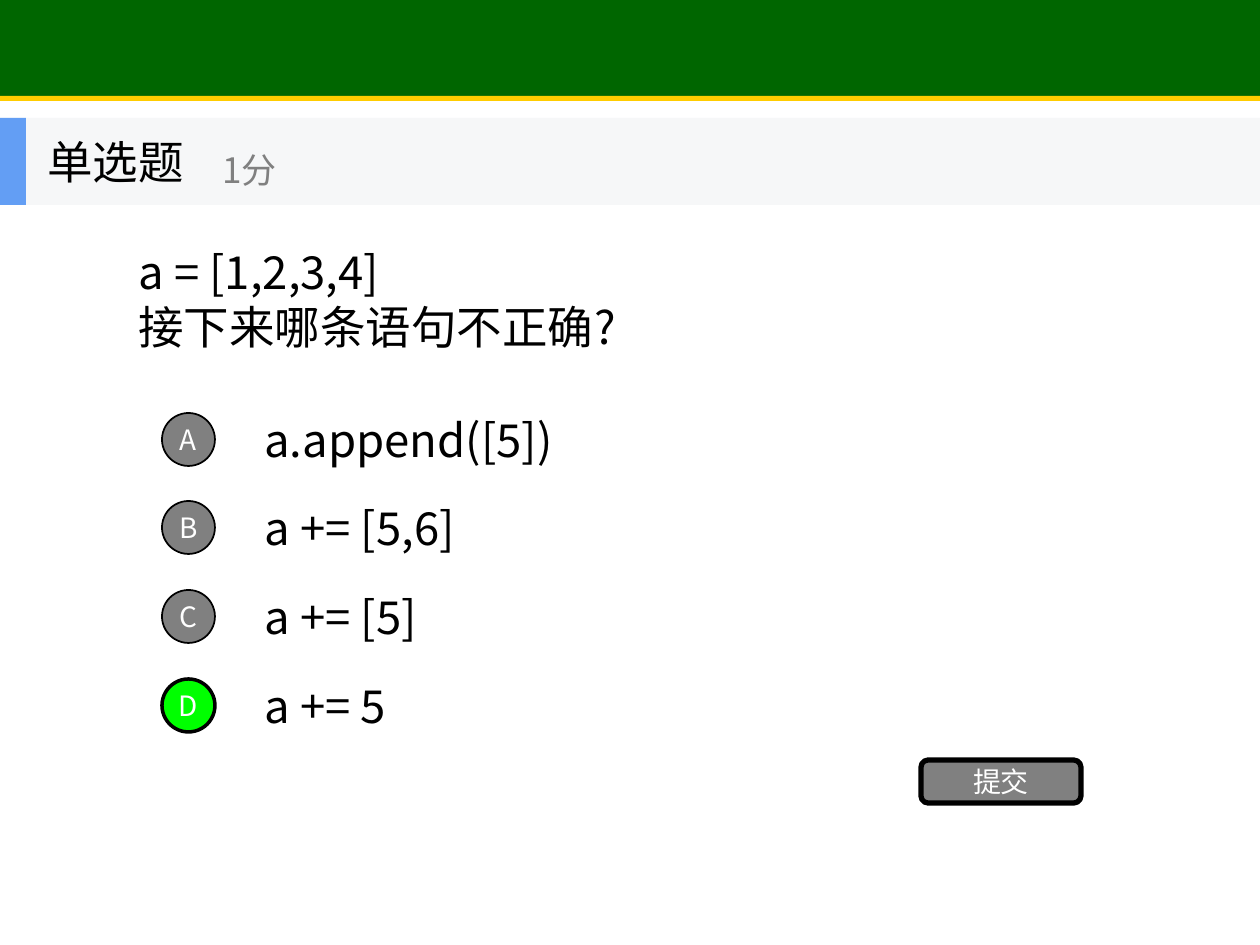
from lxml.etree import SubElement
from pptx import Presentation
from pptx.dml.color import RGBColor
from pptx.enum.shapes import MSO_SHAPE
from pptx.enum.text import MSO_ANCHOR, PP_ALIGN
from pptx.oxml.ns import qn
from pptx.util import Emu, Pt

PX = 914400 / 126
FONT = "Noto Sans CJK SC"
BLACK = RGBColor(0x00, 0x00, 0x00)
WHITE = RGBColor(0xFF, 0xFF, 0xFF)
GRAY = RGBColor(0x80, 0x80, 0x80)
LIME = RGBColor(0x00, 0xFF, 0x00)
GREEN = RGBColor(0x00, 0x66, 0x00)
GOLD = RGBColor(0xFF, 0xCC, 0x00)
BLUE = RGBColor(0x63, 0x9E, 0xF4)
PALE = RGBColor(0xF6, 0xF7, 0xF8)

OPTIONS = [
    ("A", "a.append([5])", False),
    ("B", "a += [5,6]", False),
    ("C", "a += [5]", False),
    ("D", "a += 5", True),
]


def px(*lengths):
    """Turn pixel lengths into EMU."""
    return [Emu(round(length * PX)) for length in lengths]


def write_text(shape, text, size, color, alignment=PP_ALIGN.LEFT):
    """Fill a shape with vertically centred text in one format."""
    frame = shape.text_frame
    frame.text = text
    frame.word_wrap = True
    frame.vertical_anchor = MSO_ANCHOR.MIDDLE
    for paragraph in frame.paragraphs:
        paragraph.alignment = alignment
        for run in paragraph.runs:
            run.font.size = Pt(size)
            run.font.color.rgb = color
            run.font.name = FONT
            SubElement(run._r.get_or_add_rPr(), qn("a:ea"), typeface=FONT)


def add_text(slide, box, text, size=26, color=BLACK):
    """Add a left-aligned text box."""
    write_text(slide.shapes.add_textbox(*px(*box)), text, size, color)


def add_block(slide, box, fill, kind=MSO_SHAPE.RECTANGLE):
    """Add a flat filled shape without an outline."""
    shape = slide.shapes.add_shape(kind, *px(*box))
    shape.shadow.inherit = False
    shape.fill.solid()
    shape.fill.fore_color.rgb = fill
    shape.line.fill.background()
    return shape


def add_button(slide, kind, box, label, fill, line_width):
    """Add an outlined shape with a centred white label."""
    shape = add_block(slide, box, fill, kind)
    shape.line.color.rgb = BLACK
    shape.line.width = Pt(line_width)
    frame = shape.text_frame
    frame.margin_left = frame.margin_right = 0
    frame.margin_top = frame.margin_bottom = 0
    write_text(shape, label, 16, WHITE, PP_ALIGN.CENTER)


def add_option(slide, index, letter, answer, correct):
    """Add one lettered answer row."""
    offset = index * 266 // 3
    add_text(slide, (252, 406 + offset, 882, 67), answer)
    fill, line_width = (LIME, 2) if correct else (GRAY, 1)
    circle = (162, 413 + offset, 53, 53)
    add_button(slide, MSO_SHAPE.OVAL, circle, letter, fill, line_width)


def add_title_bar(slide):
    """Add the question type and its score."""
    add_block(slide, (0, 118, 1260, 87), PALE)
    add_block(slide, (0, 118, 26, 87), BLUE)
    add_text(slide, (35, 118, 262, 87), "单选题")
    add_text(slide, (210, 134, 315, 71), "1分", 20, GRAY)


def main():
    """Build and save the quiz slide."""
    presentation = Presentation()
    presentation.slide_width, presentation.slide_height = px(1260, 945)
    slide = presentation.slides.add_slide(presentation.slide_layouts[6])
    add_block(slide, (0, 0, 1260, 100), GREEN)
    add_block(slide, (0, 96, 1260, 5), GOLD)
    add_text(slide, (126, 188, 1008, 222), "a = [1,2,3,4]\n接下来哪条语句不正确?")
    for index, option in enumerate(OPTIONS):
        add_option(slide, index, *option)
    submit = (921, 760, 160, 43)
    add_button(slide, MSO_SHAPE.ROUNDED_RECTANGLE, submit, "提交", GRAY, 3)
    add_title_bar(slide)
    presentation.save("out.pptx")


if __name__ == "__main__":
    main()
